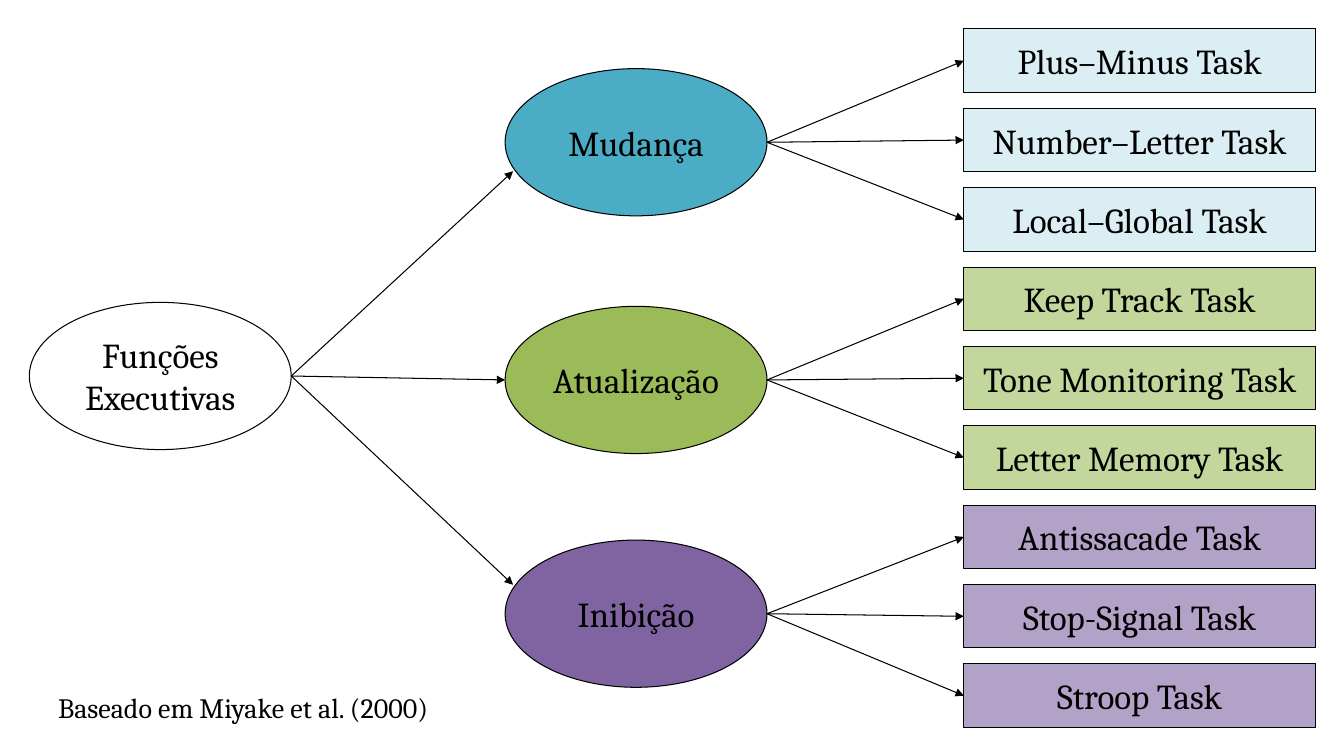
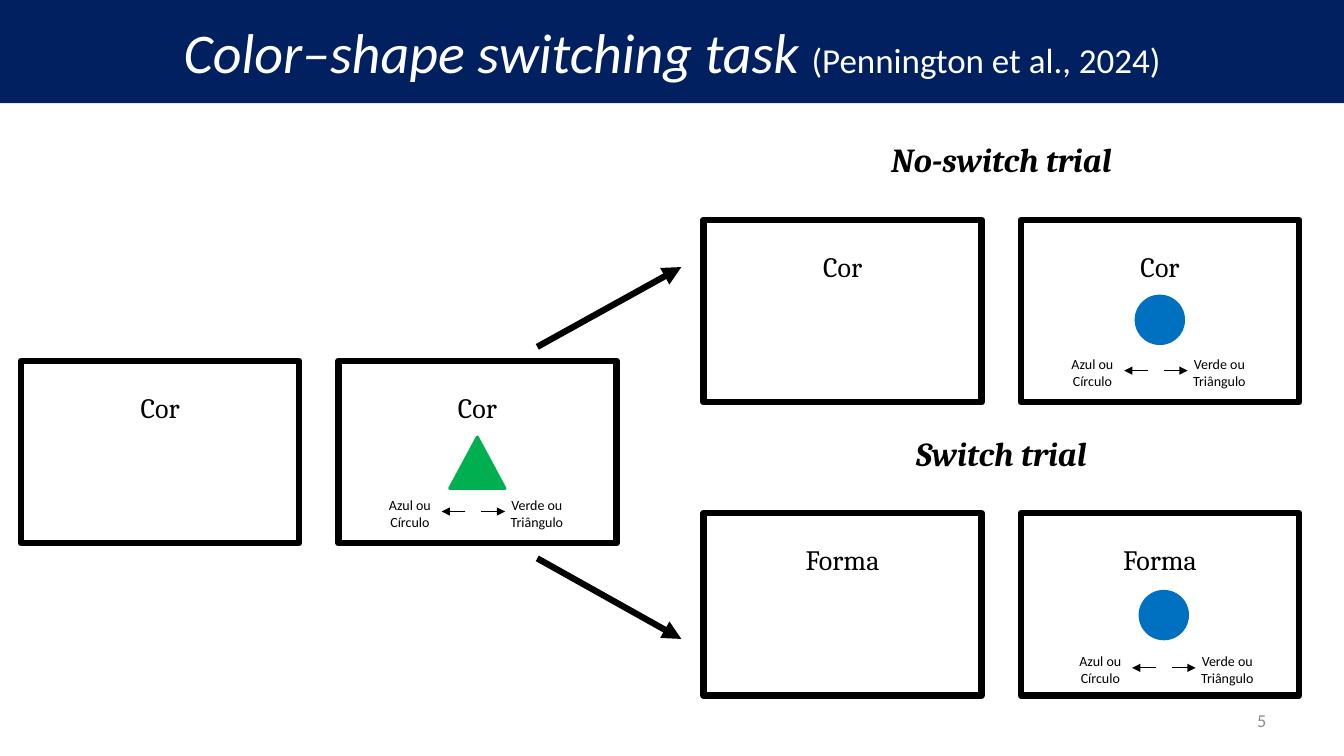
from lxml import etree
from pptx import Presentation
from pptx.dml.color import RGBColor
from pptx.enum.shapes import MSO_CONNECTOR, MSO_SHAPE
from pptx.enum.text import MSO_ANCHOR, MSO_AUTO_SIZE, PP_ALIGN
from pptx.oxml.ns import qn
from pptx.util import Cm, Pt

RECT, OVAL, TRIANGLE = MSO_SHAPE.RECTANGLE, MSO_SHAPE.OVAL, MSO_SHAPE.ISOSCELES_TRIANGLE
STRAIGHT = MSO_CONNECTOR.STRAIGHT
TOP, MIDDLE = MSO_ANCHOR.TOP, MSO_ANCHOR.MIDDLE
CENTER, RIGHT = PP_ALIGN.CENTER, PP_ALIGN.RIGHT
NO_FIT = MSO_AUTO_SIZE.NONE
LEFT_SIDE = 1

SERIF, SANS = "Cambria", "Calibri"
COLORS = {
    "black": "000000", "white": "FFFFFF", "navy": "002060", "grey": "8C8C8C",
    "teal": "4BACC6", "pale teal": "DBEEF4",
    "olive": "9BBB59", "pale olive": "C3D69B",
    "purple": "8064A2", "pale purple": "B3A2C7",
    "green": "00B050", "blue": "0070C0",
}
WIDTH, HEIGHT = 33.87, 19.05

FUNCTIONS = [
    ("Mudança", "teal", 1.73,
     ["Plus–Minus Task", "Number–Letter Task", "Local–Global Task"]),
    ("Atualização", "olive", 7.72,
     ["Keep Track Task", "Tone Monitoring Task", "Letter Memory Task"]),
    ("Inibição", "purple", 13.61,
     ["Antissacade Task", "Stop-Signal Task", "Stroop Task"]),
]


def rgb(name):
    return RGBColor.from_string(COLORS[name])


def add_run(p, text, size=20, font=SERIF, color="black", bold=False, italic=False):
    r = p.add_run()
    r.text = text
    f = r.font
    f.size, f.name, f.bold, f.italic = Pt(size), font, bold, italic
    f.color.rgb = rgb(color)


def write(tf, text, align=CENTER, anchor=MIDDLE, wrap=True, **fmt):
    """Fill a text frame, one paragraph per line of text."""
    tf.word_wrap = wrap
    tf.vertical_anchor = anchor
    for i, line in enumerate(text.split("\n")):
        p = tf.add_paragraph() if i else tf.paragraphs[0]
        p.alignment = align
        add_run(p, line, **fmt)


class Deck:
    """Shared style and current slide; lengths are in centimetres."""

    def __init__(self):
        self.prs = Presentation()
        self.prs.slide_width, self.prs.slide_height = Cm(WIDTH), Cm(HEIGHT)

    def new_slide(self, layout):
        self.slide = self.prs.slides.add_slide(self.prs.slide_layouts[layout])
        self.shapes = self.slide.shapes

    def start_group(self):
        """Send the elements that follow into a new group."""
        self.shapes = self.slide.shapes.add_group_shape().shapes

    def end_group(self):
        self.shapes = self.slide.shapes

    def title_band(self, title, source):
        sp = self.slide.shapes.title
        sp.left, sp.top, sp.width, sp.height = Cm(0), Cm(0), Cm(WIDTH), Cm(2.6)
        sp.fill.solid()
        sp.fill.fore_color.rgb = rgb("navy")
        tf = sp.text_frame
        tf.auto_size = NO_FIT
        write(tf, title, size=40, font=SANS, color="white", italic=True)
        add_run(tf.paragraphs[0], source, size=25, font=SANS, color="white")

    def shape(self, kind, x, y, w, h, fill, line="black", weight=0.75):
        sp = self.shapes.add_shape(kind, Cm(x), Cm(y), Cm(w), Cm(h))
        sp.shadow.inherit = False
        sp.fill.solid()
        sp.fill.fore_color.rgb = rgb(fill)
        sp.line.color.rgb = rgb(line)
        sp.line.width = Pt(weight)
        return sp

    def node(self, kind, x, y, w, h, text, fill):
        sp = self.shape(kind, x, y, w, h, fill)
        write(sp.text_frame, text, wrap=False, size=25)
        return sp

    def text(self, x, y, w, h, text, **fmt):
        sp = self.shapes.add_textbox(Cm(x), Cm(y), Cm(w), Cm(h))
        write(sp.text_frame, text, **fmt)

    def arrow(self, x1, y1, x2, y2, weight=0.75, target=None):
        cn = self.shapes.add_connector(STRAIGHT, Cm(x1), Cm(y1), Cm(x2), Cm(y2))
        cn.line.color.rgb = rgb("black")
        cn.line.width = Pt(weight)
        etree.SubElement(cn.line._get_or_add_ln(), qn("a:tailEnd"), type="triangle")
        etree.SubElement(cn._element.spPr, qn("a:effectLst"))
        if target is not None:
            cn.end_connect(target, LEFT_SIDE)

    def screen(self, x, y, cue):
        sp = self.shape(RECT, x, y, 7.01, 4.6, "white", weight=4.5)
        sp.text_frame.margin_top = Cm(0.75)
        write(sp.text_frame, cue, anchor=TOP)

    def trial(self, x, y, cue, stimulus, heading=None, dx=0, dy=0):
        """Cue screen and response screen; dx, dy shift the response hints."""
        kind, w, h, color = stimulus
        self.start_group()
        if heading:
            self.text(x, y - 2.4, 15.01, 1.75, heading, size=24, bold=True, italic=True)
        self.screen(x, y, cue)
        x += 8
        self.screen(x, y, cue)
        self.shape(kind, x + 3.5 - w / 2 + dx / 2, y + 1.92 + dy / 2, w, h,
                   color, line=color, weight=2)
        middle = x + 3.4 + dx
        for side, label in ((-1, "Azul ou\nCírculo"), (1, "Verde ou\nTriângulo")):
            self.arrow(middle + side * 0.2, y + 3.8 + dy, middle + side * 0.8, y + 3.8 + dy)
            self.text(middle + side * 1.6 - 1, y + 3.3 + dy, 2, 1.12, label,
                      anchor=TOP, size=10, font=SANS)
        self.end_group()


def executive_functions(deck):
    oval_w, oval_h = 6.6, 3.71
    root_x, root_y, oval_x = 0.74, 7.62, 12.73
    task_x, task_y, task_w, task_h, pitch = 24.29, 0.73, 8.86, 1.6, 2
    deck.new_slide(6)
    deck.node(OVAL, root_x, root_y, oval_w, oval_h, "Funções\nExecutivas", "white")
    for i, (name, color, y, tasks) in enumerate(FUNCTIONS):
        deck.node(OVAL, oval_x, y, oval_w, oval_h, name, color)
        center = y + oval_h / 2
        # Outer arrows meet their ellipse on the side facing the root
        inset = 0 if i == 1 else 0.2
        deck.arrow(root_x + oval_w, root_y + oval_h / 2,
                   oval_x + inset, center + (1 - i) * 0.73)
        for j, task in enumerate(tasks):
            top = task_y + pitch * (i * len(tasks) + j)
            box = deck.node(RECT, task_x, top, task_w, task_h, task, "pale " + color)
            deck.arrow(oval_x + oval_w, center, task_x, top + task_h / 2, target=box)
    deck.text(0.13, 17.32, 12, 1, "Baseado em Miyake et al. (2000)")


def switching_task(deck):
    triangle = (TRIANGLE, 1.4, 1.3, "green")
    circle = (OVAL, 1.2, 1.2, "blue")
    deck.new_slide(5)
    deck.title_band("Color–shape switching task ", "(Pennington et al., 2024)")
    deck.trial(0.53, 9.09, "Cor", triangle)
    deck.trial(17.73, 5.54, "Cor", circle, "No-switch trial")
    deck.trial(17.73, 12.93, "Forma", circle, "Switch trial", dx=0.2, dy=0.1)
    for start, end in ((8.74, 6.73), (14.07, 16.1)):
        deck.arrow(13.54, start, 17.17, end, weight=4.5)
    deck.text(24.26, 17.65, 7.9, 1.02, "5", align=RIGHT, size=13, font=SANS, color="grey")


def main():
    deck = Deck()
    executive_functions(deck)
    switching_task(deck)
    deck.prs.save("out.pptx")


if __name__ == "__main__":
    main()
